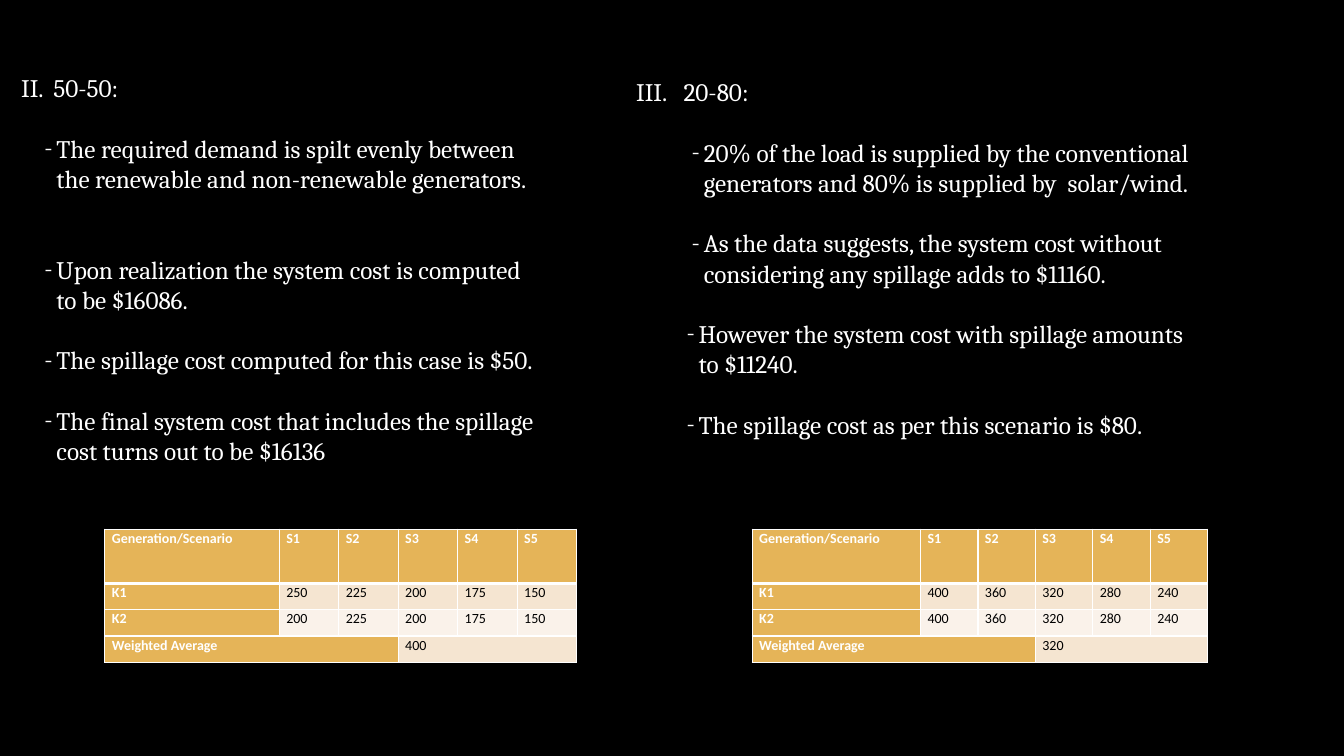
import dataclasses

import lxml.etree
import pptx
import pptx.dml.color
import pptx.enum.text
import pptx.oxml.ns
import pptx.util

Inches, Pt = pptx.util.Inches, pptx.util.Pt


@dataclasses.dataclass(frozen=True)
class Theme:
    back: str = "000000"
    light: str = "FFFFFF"
    dark: str = "000000"
    gold: str = "E5B458"
    bands: tuple = ("F5E5D1", "FAF2EA")
    serif: str = "Cambria"
    sans: str = "Calibri"
    body: int = 18
    cell: int = 10
    line: float = 21.6  # points from one body line to the next


THEME = Theme()
HANG = 0.12
ROWS = (0.54, 0.26, 0.26, 0.26)
HEADER = ["Generation/Scenario", "S1", "S2", "S3", "S4", "S5"]

# Each bullet: lines of text, text margin in inches, blank lines above
CASES = [
    {
        "box": (-0.05, 0.67, 6.37, 6.46),
        "head": ("II.", "50-50:", 0.16, 0.48),
        "bullets": [
            (["The required demand is spilt evenly between",
              "the renewable and non-renewable generators."], 0.51, 1),
            (["Upon realization the system cost is computed",
              "to be $16086."], 0.51, 2),
            (["The spillage cost computed for this case is $50."], 0.51, 1),
            (["The final system cost that includes the spillage",
              "cost turns out to be $16136"], 0.51, 1),
        ],
        "table": (1.04, 5.25, 1.73, 0.59),
        "rows": [["K1", "250", "225", "200", "175", "150"],
                 ["K2", "200", "225", "200", "175", "150"]],
        "mean": "400",
    },
    {
        "box": (6.21, 0.71, 6.63, 6.16),
        "head": ("III.", "20-80:", 0, 0.47),
        "bullets": [
            (["20% of the load is supplied by the conventional",
              "generators and 80% is supplied by  solar/wind."], 0.67, 1),
            (["As the data suggests, the system cost without",
              "considering any spillage adds to $11160."], 0.67, 1),
            (["However the system cost with spillage amounts",
              "to $11240."], 0.62, 1),
            (["The spillage cost as per this scenario is $80."], 0.62, 1),
        ],
        "table": (7.46, 5.25, 1.67, 0.57),
        "rows": [["K1", "400", "360", "320", "280", "240"],
                 ["K2", "400", "360", "320", "280", "240"]],
        "mean": "320",
    },
]


def color(code):
    return pptx.dml.color.RGBColor.from_string(code)


def add_node(parent, tag, **attrs):
    node = lxml.etree.SubElement(parent, pptx.oxml.ns.qn(tag))
    for name, value in attrs.items():
        node.set(name, str(value))
    return node


def add_run(para, text, font, size, code, bold=False):
    run = para.add_run()
    run.text = text
    run.font.name, run.font.size, run.font.bold = font, Pt(size), bold
    run.font.color.rgb = color(code)


def add_lines(para, lines, margin, hang, gap, mark=None):
    """Fill a hanging paragraph, with a bullet mark if one is given."""
    para.line_spacing = 1.0
    para.space_before, para.space_after = Pt(gap * THEME.line), Pt(0)
    props = para._p.get_or_add_pPr()
    props.set("marL", str(Inches(margin)))
    props.set("indent", str(-Inches(hang)))
    if mark:
        add_node(props, "a:buFont", typeface=THEME.serif)
        add_node(props, "a:buChar", char=mark)
    else:
        add_node(props, "a:buNone")
    for index, line in enumerate(lines):
        if index:
            para.add_line_break()
        add_run(para, line, THEME.serif, THEME.body, THEME.light)


def fill_body(holder, case):
    left, top, width, height = map(Inches, case["box"])
    holder.left, holder.top = left, top
    holder.width, holder.height = width, height
    frame = holder.text_frame
    frame.word_wrap = True
    frame.auto_size = pptx.enum.text.MSO_AUTO_SIZE.NONE
    frame.vertical_anchor = pptx.enum.text.MSO_ANCHOR.TOP
    frame.margin_left = frame.margin_right = Inches(0.1)
    frame.margin_top = frame.margin_bottom = Inches(0.05)
    number, title, start, margin = case["head"]
    add_lines(frame.paragraphs[0], [f"{number}\t{title}"],
              margin, margin - start, 0)
    for lines, margin, gap in case["bullets"]:
        add_lines(frame.add_paragraph(), lines, margin, HANG, gap, "-")


def set_edges(cell, row):
    props = cell._tc.get_or_add_tcPr()
    thick = {"a:lnB": row == 0, "a:lnT": row == 1}
    for tag in ("a:lnL", "a:lnR", "a:lnT", "a:lnB"):
        edge = add_node(props, tag, w=Pt(3 if thick.get(tag) else 1))
        add_node(add_node(edge, "a:solidFill"), "a:srgbClr", val=THEME.light)


def fill_cell(cell, text, row, label):
    set_edges(cell, row)
    cell.fill.solid()
    cell.fill.fore_color.rgb = color(
        THEME.gold if label else THEME.bands[(row - 1) % 2])
    cell.margin_left = cell.margin_right = Inches(0.07)
    cell.margin_top = cell.margin_bottom = 0
    para = cell.text_frame.paragraphs[0]
    para.alignment = pptx.enum.text.PP_ALIGN.JUSTIFY
    para.line_spacing = 1.05
    if text:
        add_run(para, text, THEME.sans, THEME.cell,
                THEME.light if label else THEME.dark, label)


def add_grid(slide, case):
    left, top, first, step = case["table"]
    mean = ["Weighted Average", "", "", case["mean"], "", ""]
    data = [HEADER, *case["rows"], mean]
    widths = [first] + [step] * (len(HEADER) - 1)
    table = slide.shapes.add_table(
        len(data), len(widths), Inches(left), Inches(top),
        Inches(sum(widths)), Inches(sum(ROWS))).table
    table.horz_banding = False
    for column, width in zip(table.columns, widths):
        column.width = Inches(width)
    last = len(data) - 1
    for row, values in enumerate(data):
        table.rows[row].height = Inches(ROWS[row])
        for col, text in enumerate(values):
            label = row == 0 or col == 0 or (row == last and col < 3)
            fill_cell(table.cell(row, col), text, row, label)
    for col in (0, 3):
        table.cell(last, col).merge(table.cell(last, col + 2))


def main():
    deck = pptx.Presentation()
    deck.slide_width, deck.slide_height = Inches(13.33), Inches(7.5)
    slide = deck.slides.add_slide(deck.slide_layouts[3])
    slide.background.fill.solid()
    slide.background.fill.fore_color.rgb = color(THEME.back)
    title = slide.shapes.title._element
    title.getparent().remove(title)
    for holder, case in zip(list(slide.placeholders), CASES):
        fill_body(holder, case)
        add_grid(slide, case)
    deck.save("out.pptx")


if __name__ == "__main__":
    main()
